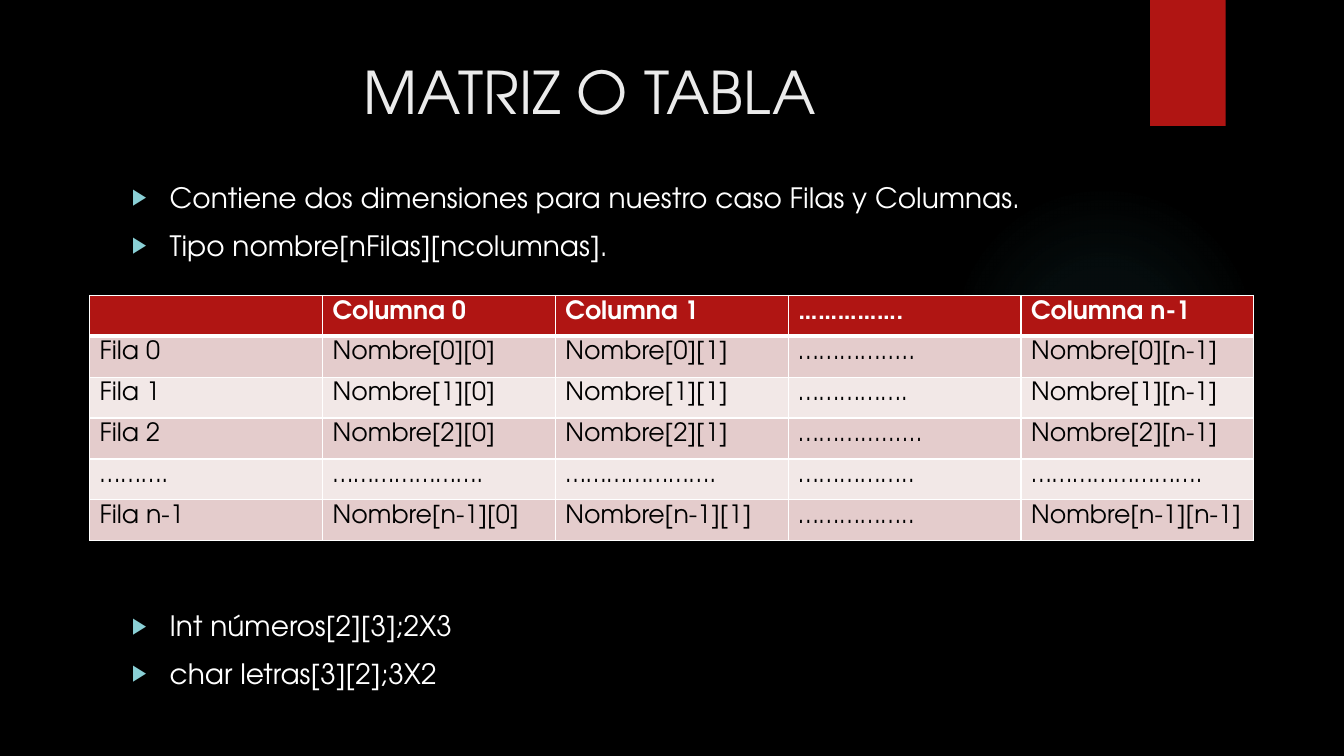
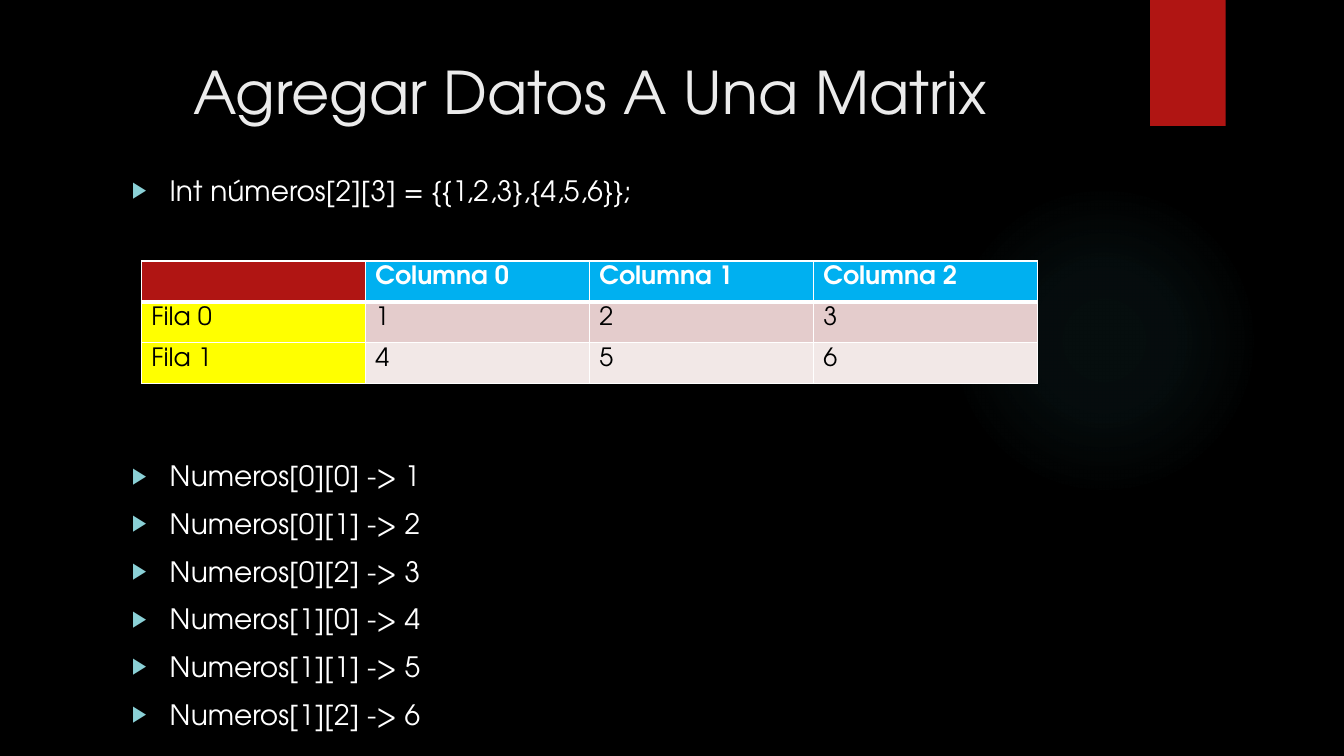
from lxml import etree
from pptx import Presentation
from pptx.dml.color import RGBColor
from pptx.enum.shapes import MSO_SHAPE
from pptx.enum.text import MSO_ANCHOR, MSO_AUTO_SIZE, PP_ALIGN
from pptx.oxml import parse_xml
from pptx.oxml.ns import qn
from pptx.util import Pt

RECT, OVAL = MSO_SHAPE.RECTANGLE, MSO_SHAPE.OVAL
TOP, CENTER, FIXED = MSO_ANCHOR.TOP, PP_ALIGN.CENTER, MSO_AUTO_SIZE.NONE

FACE = "TeX Gyre Adventor"
BLACK, WHITE, PALE = "000000", "FFFFFF", "EBEBEB"
RED, BLUE, YELLOW = "B01513", "00B0F0", "FFFF00"
GLOW, TEAL = "50B9C1", "8AD0D6"
BANDS = ("E4CCCC", "F2E8E7")

HEAD = dict(size=Pt(42), name=FACE, bold=False)
LIST = dict(size=Pt(20), name=FACE, bold=False)
CELL = dict(size=Pt(18), name=FACE, bold=False)

SPACE = 10   # before each list item
PITCH = 34   # one list line with its space
ROW = 29.2   # height of a table row


def paint(fill, color):
    fill.solid()
    fill.fore_color.rgb = RGBColor.from_string(color)


def style(font, look, color):
    for key, value in look.items():
        setattr(font, key, value)
    paint(font.fill, color)


def place(shape, left, top, width, height):
    shape.left, shape.top = Pt(left), Pt(top)
    shape.width, shape.height = Pt(width), Pt(height)


def node(parent, tag, **attrs):
    return etree.SubElement(parent, qn(tag), attrs)


def glow(shape):
    """Fill the shape with a faint light that fades from its centre."""
    stops = "".join(
        f'<a:gs pos="{pos}000"><a:srgbClr val="{GLOW}">'
        f'<a:alpha val="{alpha}000"/></a:srgbClr></a:gs>'
        for pos, alpha in ((0, 7), (36, 6), (69, 0)))
    grad = parse_xml(
        '<a:gradFill xmlns:a="http://schemas.openxmlformats.org/drawingml/2006/main">'
        f'<a:gsLst>{stops}</a:gsLst><a:path path="circle">'
        '<a:fillToRect l="50000" t="50000" r="50000" b="50000"/>'
        '</a:path></a:gradFill>')
    shape.element.spPr.find(qn("a:prstGeom")).addnext(grad)


def dress(layout, slide):
    """Draw the glow and the red tab, then move them behind the layout."""
    light = slide.shapes.add_shape(OVAL, Pt(677.5), Pt(132), Pt(222), Pt(222))
    tab = slide.shapes.add_shape(RECT, Pt(821.5), 0, Pt(54), Pt(90))
    for i, shape in enumerate((light, tab)):
        shape.shadow.inherit = False
        shape.line.fill.background()
        shape.element.nvSpPr.cNvPr.set("id", str(50 + i))
        layout.shapes.element.insert(2 + i, shape.element)
    glow(light)
    paint(tab.fill, RED)


def add_title(slide, text):
    title = slide.shapes.title
    place(title, 51, 36, 741, 110)
    frame = title.text_frame
    frame.text = text
    frame.vertical_anchor, frame.auto_size = TOP, FIXED
    para = frame.paragraphs[0]
    para.alignment = CENTER
    style(para.runs[0].font, HEAD, PALE)


def bullet(para):
    props = para._p.get_or_add_pPr()
    props.set("marL", str(Pt(27)))
    props.set("indent", str(-Pt(27)))
    node(node(props, "a:buClr"), "a:srgbClr", val=TEAL)
    node(props, "a:buSzPct", val="80000")
    node(props, "a:buChar", char="▶")


def add_list(slide, top, height, above, below, gap):
    """Fill the body, leaving room for gap lines between the two groups."""
    body = slide.placeholders[1]
    place(body, 87, top, 704, height)
    frame = body.text_frame
    frame.text = "\n".join(above + below)
    frame.vertical_anchor, frame.auto_size = TOP, FIXED
    for i, para in enumerate(frame.paragraphs):
        room = gap * PITCH if i == len(above) else 0
        para.space_before = Pt(SPACE + room)
        bullet(para)
        style(para.runs[0].font, LIST, WHITE)


def edge(cell, tag, width):
    line = node(cell._tc.get_or_add_tcPr(), tag, w=str(Pt(width)))
    node(node(line, "a:solidFill"), "a:srgbClr", val=WHITE)


def fill_cell(cell, text, row, color):
    for tag in ("a:lnL", "a:lnR", "a:lnT", "a:lnB"):
        thick = (row, tag) in ((0, "a:lnB"), (1, "a:lnT"))
        edge(cell, tag, 3 if thick else 1)
    paint(cell.fill, color)
    para = cell.text_frame.paragraphs[0]
    para.text = text
    look = dict(CELL, bold=row == 0)
    style(para.font, look, BLACK if row else WHITE)
    for run in para.runs:
        style(run.font, look, BLACK if row else WHITE)


def add_grid(slide, left, top, width, rows, head=RED, side=None):
    """Add a banded table; head and side colour the row and column labels."""
    count = len(rows[0])
    table = slide.shapes.add_table(len(rows), count, Pt(left), Pt(top),
                                   Pt(width), Pt(ROW * len(rows))).table
    for col in table.columns:
        col.width = Pt(width / count)
    for r, texts in enumerate(rows):
        table.rows[r].height = Pt(ROW)
        for c, text in enumerate(texts):
            if r == 0:
                color = head if c else RED
            else:
                color = side if side and c == 0 else BANDS[(r - 1) % 2]
            fill_cell(table.cell(r, c), text, r, color)


def names(row, dots):
    return [f"Fila {row}", f"Nombre[{row}][0]", f"Nombre[{row}][1]", dots,
            f"Nombre[{row}][n-1]"]


def main():
    prs = Presentation()
    prs.slide_width, prs.slide_height = Pt(960), Pt(540)
    paint(prs.slide_master.background.fill, BLACK)
    layout = prs.slide_layouts[1]

    matrix = prs.slides.add_slide(layout)
    dress(layout, matrix)
    add_title(matrix, "MATRIZ O TABLA")
    add_list(matrix, 125.3, 366.5,
             ["Contiene dos dimensiones para nuestro caso Filas y Columnas.",
              "Tipo nombre[nFilas][ncolumnas]."],
             ["Int números[2][3];2X3", "char letras[3][2];3X2"], 7)
    add_grid(matrix, 64, 211, 831.6, [
        ["", "Columna 0", "Columna 1", "…………….", "Columna n-1"],
        names("0", "…………....."),
        names("1", "……………."),
        names("2", "………........."),
        ["……….", "………………….", "………………….", "……………..", "……………………."],
        names("n-1", "…………….."),
    ])

    data = prs.slides.add_slide(layout)
    add_title(data, "Agregar Datos A Una Matrix")
    add_list(data, 120.2, 399.6,
             ["Int números[2][3] = {{1,2,3},{4,5,6}};"],
             [f"Numeros[{r}][{c}] -> {r * 3 + c + 1}"
              for r in range(2) for c in range(3)], 5)
    add_grid(data, 101, 186.5, 640, [
        ["", "Columna 0", "Columna 1", "Columna 2"],
        ["Fila 0", "1", "2", "3"],
        ["Fila 1", "4", "5", "6"],
    ], BLUE, YELLOW)

    prs.save("out.pptx")


if __name__ == "__main__":
    main()
